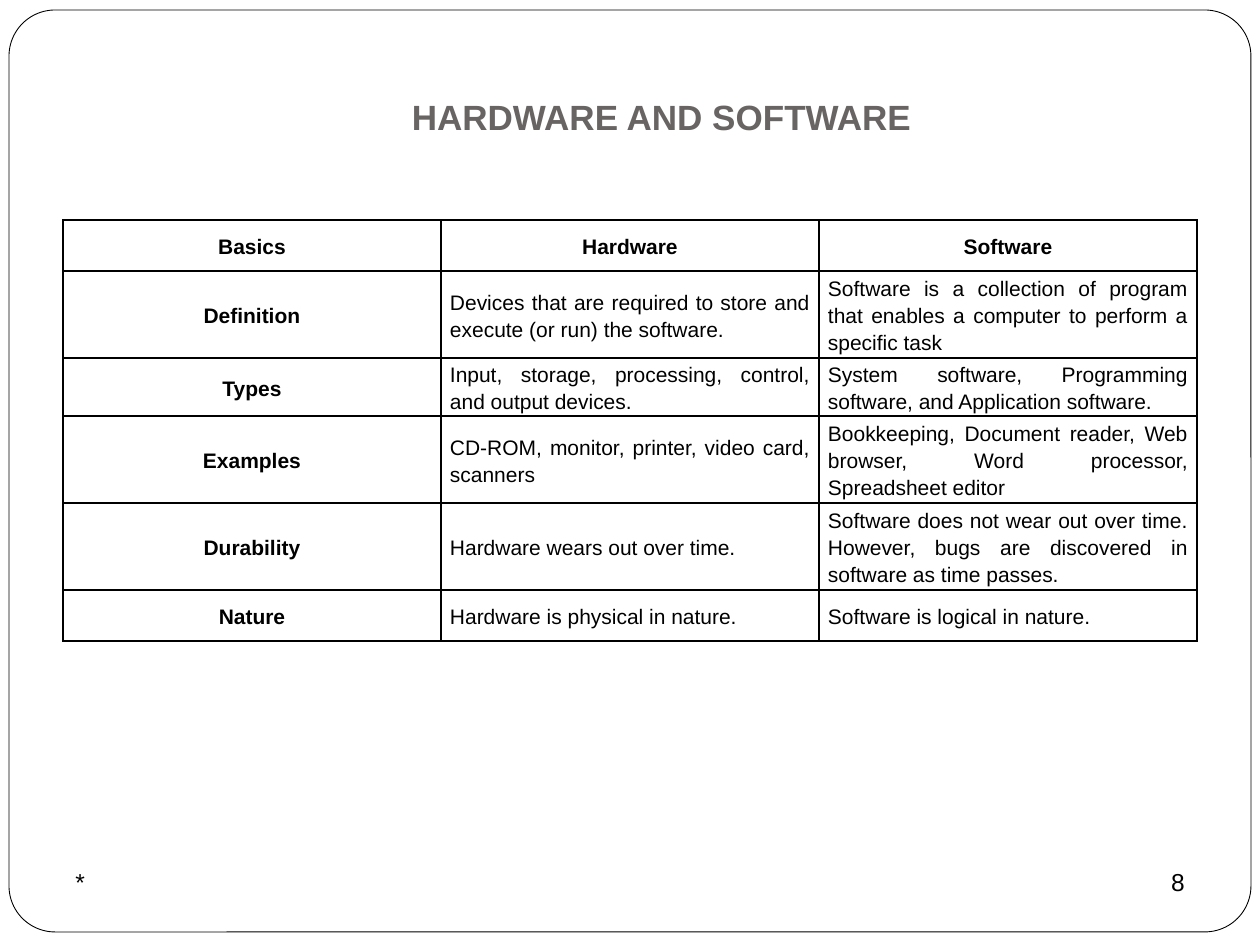
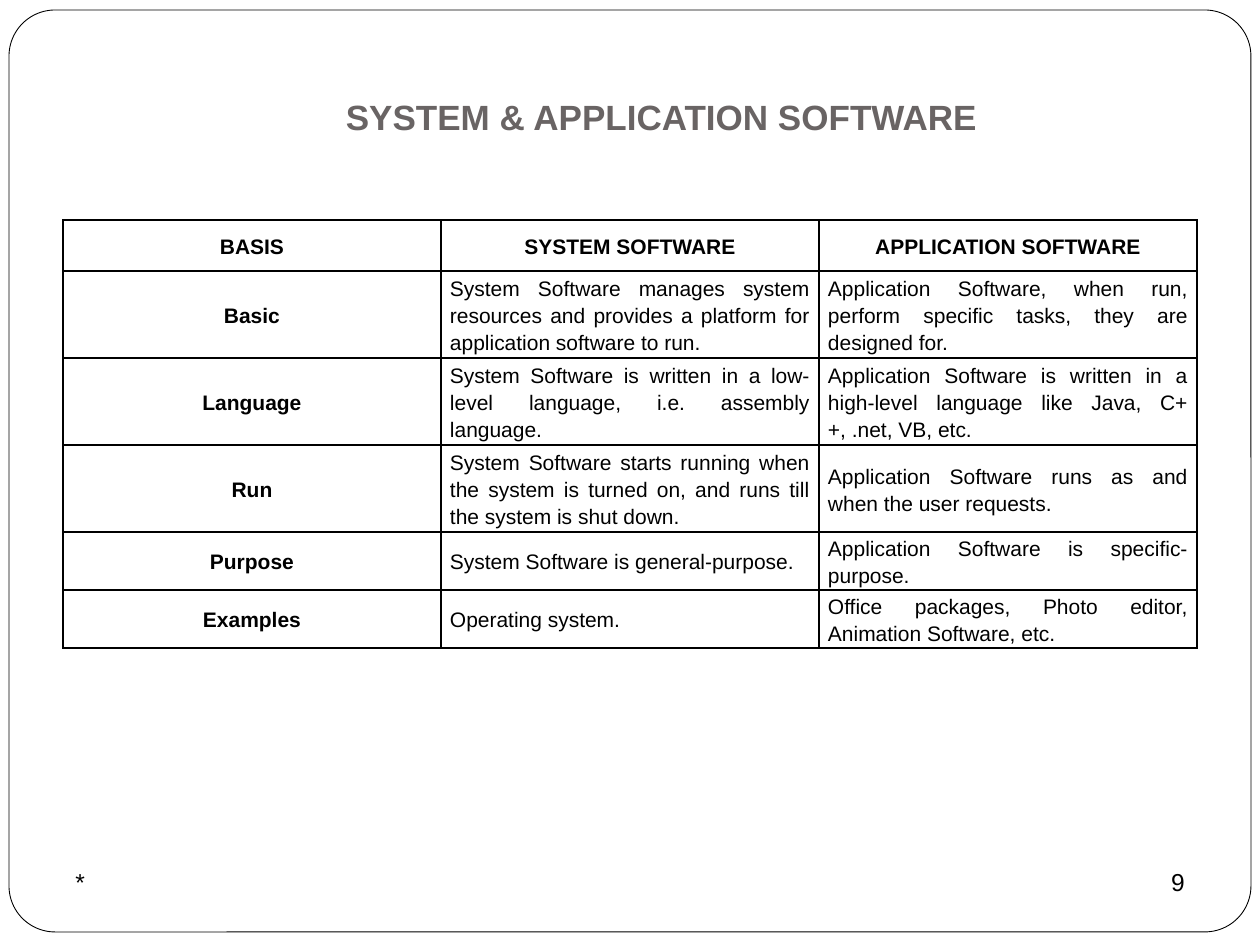
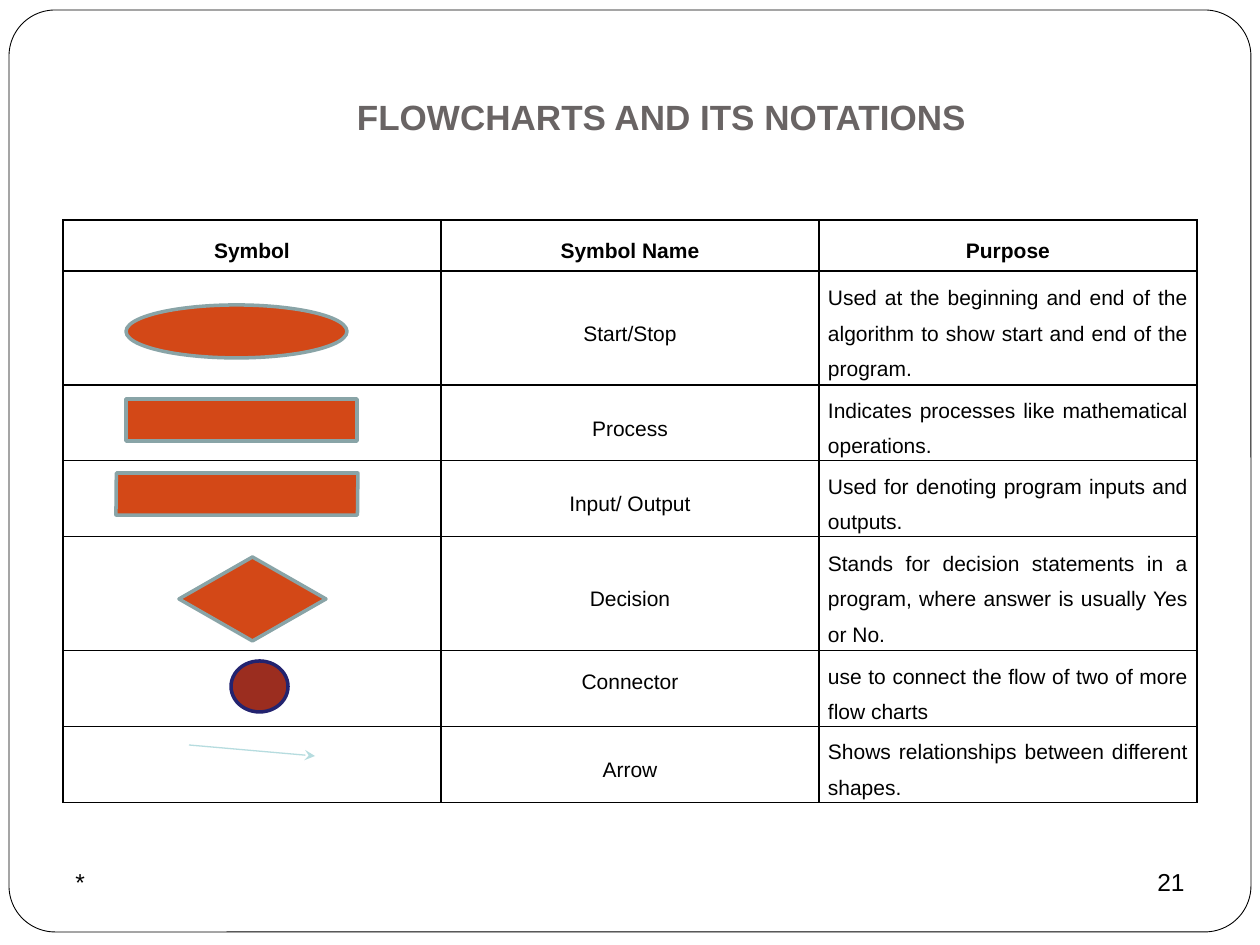
import lxml.etree
import pptx
import pptx.dml.color
import pptx.enum.dml
import pptx.enum.shapes
import pptx.enum.text
import pptx.oxml
import pptx.oxml.ns
import pptx.util

PX_PER_INCH = 126
FONT = "Arial"
INK, PAPER, TITLE_GREY = "000000", "FFFFFF", "696464"
ORANGE, SLATE = "D34817", "89A4A7"
MAROON, NAVY = "9B2D1F", "23236F"
PALE_BLUE = "B6DCDF"

SHAPE = pptx.enum.shapes.MSO_SHAPE
ALIGN = pptx.enum.text.PP_ALIGN
ANCHOR = pptx.enum.text.MSO_ANCHOR

COLUMN_WIDTH = 378
HEADER_STYLE = (True, ALIGN.CENTER)
COMPARISON_STYLES = [HEADER_STYLE, (False, ALIGN.JUSTIFY), (False, ALIGN.JUSTIFY)]
NOTATION_STYLES = [HEADER_STYLE, (False, ALIGN.CENTER), (False, ALIGN.JUSTIFY)]

HARDWARE_ROWS = [
    ("Basics", "Hardware", "Software"),
    ("Definition",
     "Devices that are required to store and execute (or run) the software.",
     "Software is a collection of program that enables a computer to perform a specific task"),
    ("Types",
     "Input, storage, processing, control, and output devices.",
     "System software, Programming software, and Application software."),
    ("Examples",
     "CD-ROM, monitor, printer, video card, scanners",
     "Bookkeeping, Document reader, Web browser, Word processor, Spreadsheet editor"),
    ("Durability",
     "Hardware wears out over time.",
     "Software does not wear out over time. However, bugs are discovered in software "
     "as time passes."),
    ("Nature", "Hardware is physical in nature.", "Software is logical in nature."),
]

SOFTWARE_ROWS = [
    ("BASIS", "SYSTEM SOFTWARE", "APPLICATION SOFTWARE"),
    ("Basic",
     "System Software manages system resources and provides a platform for "
     "application software to run.",
     "Application Software, when run, perform specific tasks, they are designed for."),
    ("Language",
     "System Software is written in a low-level language, i.e. assembly language.",
     "Application Software is written in a high-level language like Java, C++, .net, VB, etc."),
    ("Run",
     "System Software starts running when the system is turned on, and runs till "
     "the system is shut down.",
     "Application Software runs as and when the user requests."),
    ("Purpose",
     "System Software is general-purpose.",
     "Application Software is specific-purpose."),
    ("Examples",
     "Operating system.",
     "Office packages, Photo editor, Animation Software, etc."),
]

NOTATION_ROWS = [
    ("Symbol", "Symbol Name", "Purpose"),
    ("", "Start/Stop",
     "Used at the beginning and end of the algorithm to show start and end of the program."),
    ("", "Process", "Indicates processes like mathematical operations."),
    ("", "Input/ Output", "Used for denoting program inputs and outputs."),
    ("", "Decision",
     "Stands for decision statements in a program, where answer is usually Yes or No."),
    ("", "Connector", "use to connect the flow of two of more flow charts"),
    ("", "Arrow", "Shows relationships between different shapes."),
]

FLOWCHART_SYMBOLS = [
    (SHAPE.OVAL, (126, 305, 221, 53), ORANGE, SLATE),
    (SHAPE.RECTANGLE, (126, 399, 231, 42), ORANGE, SLATE),
    (SHAPE.PARALLELOGRAM, (116, 473, 242, 42), ORANGE, SLATE),
    (SHAPE.DIAMOND, (179, 557, 147, 84), ORANGE, SLATE),
    (SHAPE.OVAL, (231, 661, 57, 51), MAROON, NAVY),
]


def px(length):
    return pptx.util.Emu(round(length * 914400 / PX_PER_INCH))


def color(hex_string):
    return pptx.dml.color.RGBColor.from_string(hex_string)


def set_format(target, values):
    for attribute, value in values.items():
        setattr(target, attribute, value)


def write(frame, text, size, bold=False, ink=INK, align=ALIGN.LEFT, spacing=1.0):
    paragraph = frame.paragraphs[0]
    paragraph.text = text
    set_format(paragraph, {"alignment": align, "line_spacing": spacing})
    set_format(paragraph.font, {"name": FONT, "size": pptx.util.Pt(size), "bold": bold})
    paragraph.font.color.rgb = color(ink)


def add_text(slide, box, text, anchor=ANCHOR.TOP, **style):
    frame = slide.shapes.add_textbox(*map(px, box)).text_frame
    set_format(frame, {"word_wrap": True, "vertical_anchor": anchor})
    write(frame, text, **style)


def add_outlined(slide, kind, box, fill, line, width):
    shape = slide.shapes.add_shape(kind, *map(px, box))
    shape.shadow.inherit = False
    shape.fill.solid()
    shape.fill.fore_color.rgb = color(fill)
    shape.line.color.rgb = color(line)
    shape.line.width = pptx.util.Pt(width)
    return shape


def add_arrow(slide, start, end):
    arrow = slide.shapes.add_connector(
        pptx.enum.shapes.MSO_CONNECTOR.STRAIGHT, *map(px, start + end))
    arrow.line.color.rgb = color(PALE_BLUE)
    arrow.line.width = pptx.util.Pt(0.75)
    tail = lxml.etree.SubElement(arrow.line._get_or_add_ln(), pptx.oxml.ns.qn("a:tailEnd"))
    tail.set("type", "stealth")
    lxml.etree.SubElement(arrow._element.spPr, pptx.oxml.ns.qn("a:effectLst"))


def add_cell_borders(cell):
    properties = cell._tc.get_or_add_tcPr()
    for position, side in enumerate("LRTB"):
        border = pptx.oxml.parse_xml(
            f'<a:ln{side} {pptx.oxml.ns.nsdecls("a")} w="12700">'
            f'<a:solidFill><a:srgbClr val="{INK}"/></a:solidFill></a:ln{side}>')
        properties.insert(position, border)


def add_grid(slide, rows, heights, column_styles, spacing):
    """Add a ruled table whose first row is the header."""
    columns = len(column_styles)
    box = (63, 220, columns * COLUMN_WIDTH, sum(heights))
    table = slide.shapes.add_table(len(rows), columns, *map(px, box)).table
    set_format(table, {"first_row": False, "horz_banding": False})
    for column in table.columns:
        column.width = px(COLUMN_WIDTH)
    for r, (texts, height) in enumerate(zip(rows, heights)):
        table.rows[r].height = px(height)
        for c, text in enumerate(texts):
            cell = table.cell(r, c)
            set_format(cell, {"margin_left": px(9), "margin_right": px(9),
                              "margin_top": 0, "margin_bottom": 0,
                              "vertical_anchor": ANCHOR.MIDDLE})
            cell.fill.background()
            add_cell_borders(cell)
            if text:
                bold, align = column_styles[c] if r else HEADER_STYLE
                write(cell.text_frame, text, 12, bold, align=align, spacing=spacing)
    return table


def add_framed_slide(deck, title, number):
    """Add a slide with the rounded frame, title and footer."""
    slide = deck.slides.add_slide(deck.slide_layouts[6])
    frame = add_outlined(slide, SHAPE.ROUNDED_RECTANGLE, (9, 10, 1242, 922), PAPER, INK, 0.5)
    frame.adjustments[0] = 0.05
    add_text(slide, (126, 38, 1071, 157), title, ANCHOR.MIDDLE,
             size=20, bold=True, ink=TITLE_GREY, align=ALIGN.CENTER)
    add_text(slide, (63, 861, 294, 65), "*", size=14)
    add_text(slide, (903, 861, 294, 65), str(number), size=14, align=ALIGN.RIGHT)
    return slide


def add_flowchart_symbols(slide):
    for kind, box, fill, line in FLOWCHART_SYMBOLS:
        symbol = add_outlined(slide, kind, box, fill, line, 2)
        if kind == SHAPE.PARALLELOGRAM:
            symbol.adjustments[0] = 0.01
    add_arrow(slide, (189, 745), (315, 756))


def main():
    deck = pptx.Presentation()
    set_format(deck, {"slide_width": px(1260), "slide_height": px(945)})

    hardware = add_framed_slide(deck, "HARDWARE AND SOFTWARE", 8)
    add_grid(hardware, HARDWARE_ROWS, [51, 87, 58, 87, 87, 51], COMPARISON_STYLES, 1.15)

    software = add_framed_slide(deck, "SYSTEM & APPLICATION SOFTWARE", 9)
    add_grid(software, SOFTWARE_ROWS, [51, 87, 87, 87, 58, 58], COMPARISON_STYLES, 1.15)

    notations = add_framed_slide(deck, "FLOWCHARTS AND ITS NOTATIONS", 21)
    table = add_grid(notations, NOTATION_ROWS, [51, 114, 75, 76, 114, 75, 76],
                     NOTATION_STYLES, 1.5)
    table.cell(5, 1).margin_bottom = px(24)
    add_flowchart_symbols(notations)

    deck.save("out.pptx")


if __name__ == "__main__":
    main()
